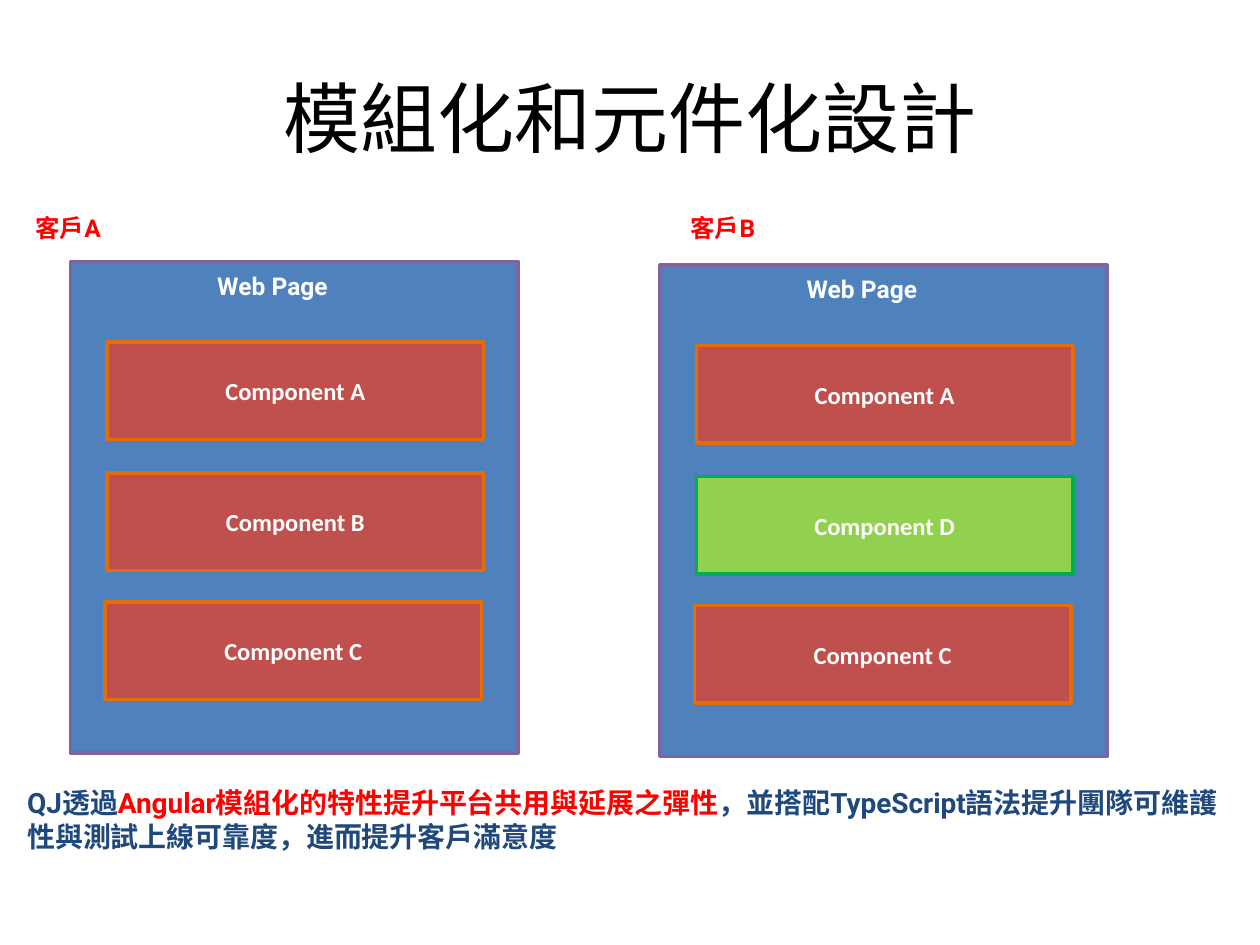
from dataclasses import dataclass

from pptx import Presentation
from pptx import util as u
from pptx.dml.color import RGBColor
from pptx.enum import shapes, text

BLACK = RGBColor(0x00, 0x00, 0x00)
WHITE = RGBColor(0xFF, 0xFF, 0xFF)
RED = RGBColor(0xFF, 0x00, 0x00)
NAVY = RGBColor(0x1F, 0x49, 0x7D)
BLUE = RGBColor(0x4F, 0x81, 0xBD)
PURPLE = RGBColor(0x80, 0x64, 0xA2)
BRICK = RGBColor(0xC0, 0x50, 0x4D)
ORANGE = RGBColor(0xE4, 0x6C, 0x0A)
LIME = RGBColor(0x92, 0xD0, 0x50)
GREEN = RGBColor(0x00, 0xB0, 0x50)


@dataclass
class Run:
    words: str
    color: RGBColor
    size: int = 14
    face: str = "Roboto"
    bold: bool = True


@dataclass
class Box:
    left: float
    top: float
    width: float
    height: float

    def emu(self) -> list:
        return [u.Cm(n) for n in (self.left, self.top, self.width, self.height)]


@dataclass
class Card:
    name: str
    fill: RGBColor = BRICK
    line: RGBColor = ORANGE


@dataclass
class Client:
    label: str
    mark: float  # left edge of the label
    left: float
    top: float
    cards: list


# Place of each component inside its page: right and down, in cm
SLOTS = [(0.74, 1.63), (0.74, 4.27), (0.7, 6.87)]

CLIENTS = [
    Client("客戶A", 0.46, 1.42, 5.27,
           [Card("Component A"), Card("Component B"), Card("Component C")]),
    Client("客戶B", 13.67, 13.3, 5.34,
           [Card("Component A"), Card("Component D", LIME, GREEN),
            Card("Component C")]),
]


def write(para, runs: list) -> None:
    for item in runs:
        run = para.add_run()
        run.text = item.words
        run.font.name = item.face
        run.font.size = u.Pt(item.size)
        run.font.bold = item.bold
        run.font.color.rgb = item.color


def note(slide, box: Box, runs: list, wrap: bool = True) -> None:
    frame = slide.shapes.add_textbox(*box.emu()).text_frame
    frame.word_wrap = wrap
    frame.auto_size = text.MSO_AUTO_SIZE.SHAPE_TO_FIT_TEXT
    write(frame.paragraphs[0], runs)


def block(slide, box: Box, fill: RGBColor, line: RGBColor, runs: list) -> None:
    shape = slide.shapes.add_shape(shapes.MSO_SHAPE.RECTANGLE, *box.emu())
    shape.shadow.inherit = False
    shape.fill.solid()
    shape.fill.fore_color.rgb = fill
    shape.line.color.rgb = line
    shape.line.width = u.Pt(2)
    frame = shape.text_frame
    frame.vertical_anchor = text.MSO_ANCHOR.MIDDLE
    frame.paragraphs[0].alignment = text.PP_ALIGN.CENTER
    write(frame.paragraphs[0], runs)


def page(slide, client: Client) -> None:
    left, top = client.left, client.top
    note(slide, Box(client.mark, 4.17, 1.96, 0.86),
         [Run(client.label, RED)], wrap=False)
    block(slide, Box(left, top, 9.02, 9.91), BLUE, PURPLE, [])
    note(slide, Box(left + 2.71, top + 0.06, 3.61, 0.86),
         [Run("Web Page", WHITE)])
    for card, (right, down) in zip(client.cards, SLOTS):
        block(slide, Box(left + right, top + down, 7.59, 1.96),
              card.fill, card.line, [Run(card.name, WHITE, face="Calibri")])


def main() -> None:
    deck = Presentation()
    deck.slide_width, deck.slide_height = u.Cm(25.4), u.Cm(19.05)
    slide = deck.slides.add_slide(deck.slide_layouts[5])

    # Title
    title = slide.shapes.title
    title.left, title.top, title.width, title.height = Box(
        1.27, 0.76, 22.86, 3.18).emu()
    title.text_frame.vertical_anchor = text.MSO_ANCHOR.MIDDLE
    head = title.text_frame.paragraphs[0]
    head.alignment = text.PP_ALIGN.CENTER
    write(head, [Run("模組化和元件化設計", BLACK, 44, "Calibri", False)])

    # Client pages
    for client in CLIENTS:
        page(slide, client)

    # Summary
    note(slide, Box(0.3, 15.72, 24.79, 1.63), [
        Run("QJ透過", NAVY, 16),
        Run("Angular模組化的特性提升平台共用與延展之彈性", RED, 16),
        Run("，並搭配TypeScript語法提升團隊可維護性與測試上線可靠度，"
            "進而提升客戶滿意度", NAVY, 16),
    ])

    deck.save("out.pptx")


if __name__ == "__main__":
    main()
